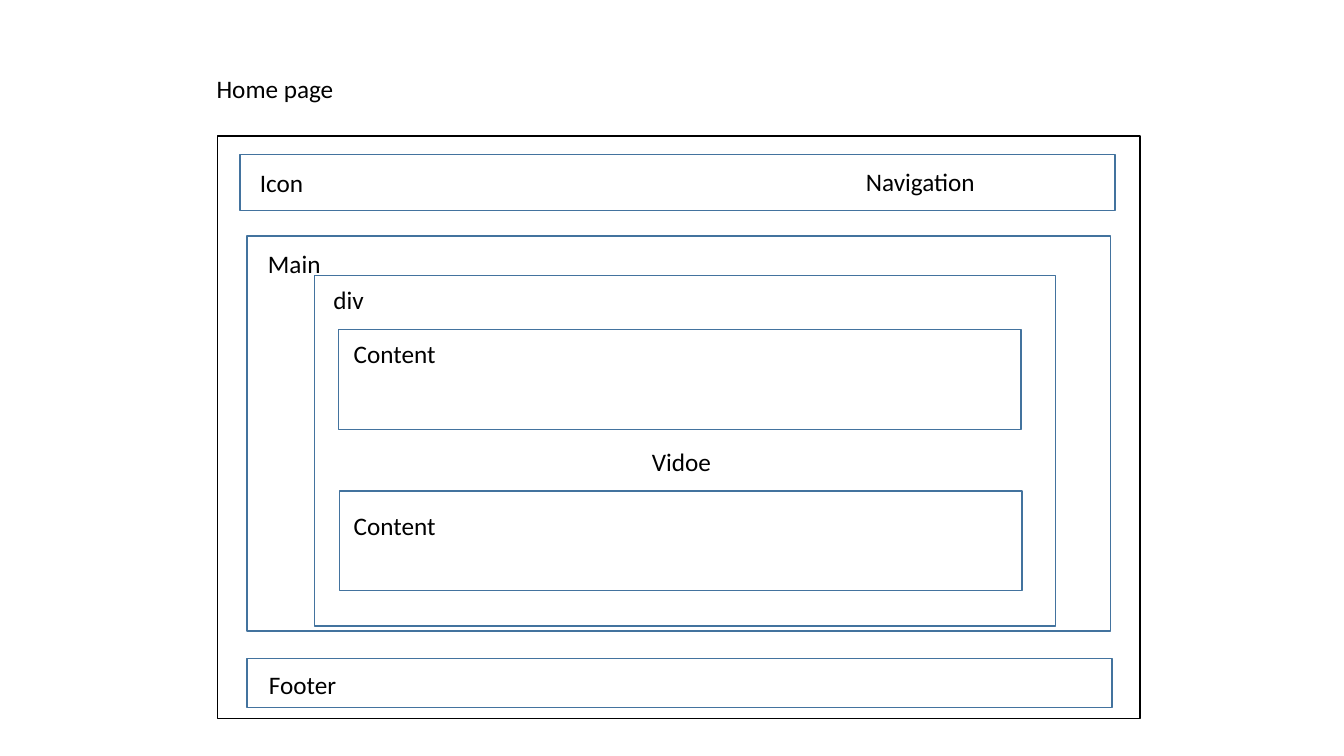
from dataclasses import dataclass

from pptx import Presentation
from pptx.dml.color import RGBColor
from pptx.enum.shapes import MSO_SHAPE
from pptx.enum.text import MSO_AUTO_SIZE, PP_ALIGN
from pptx.util import Pt


@dataclass(frozen=True)
class Theme:
    font: str = "Calibri"
    text_size: float = 18
    text_color: str = "000000"
    page_line: str = "000000"
    block_line: str = "43739E"
    line_width: float = 1
    label_height: float = 29


THEME = Theme()


def add_frame(slide, left, top, width, height, color=THEME.block_line):
    shape = slide.shapes.add_shape(
        MSO_SHAPE.RECTANGLE, Pt(left), Pt(top), Pt(width), Pt(height)
    )
    shape.shadow.inherit = False
    shape.fill.background()
    shape.line.color.rgb = RGBColor.from_string(color)
    shape.line.width = Pt(THEME.line_width)


def add_label(slide, text, *, left, top, width, align=PP_ALIGN.LEFT):
    box = slide.shapes.add_textbox(
        Pt(left), Pt(top), Pt(width), Pt(THEME.label_height)
    )
    frame = box.text_frame
    frame.word_wrap = True
    frame.auto_size = MSO_AUTO_SIZE.SHAPE_TO_FIT_TEXT
    paragraph = frame.paragraphs[0]
    paragraph.alignment = align
    run = paragraph.add_run()
    run.text = text
    run.font.name = THEME.font
    run.font.size = Pt(THEME.text_size)
    run.font.color.rgb = RGBColor.from_string(THEME.text_color)


def add_header(slide):
    add_frame(slide, 171.4, 110.2, 625, 40.3)
    add_label(slide, "Icon", left=178.6, top=115.9, width=124.6)
    add_label(slide, "Navigation", left=524.9, top=115.2, width=265,
              align=PP_ALIGN.CENTER)


def add_content(slide, left, top, label_top):
    add_frame(slide, left, top, 487.4, 71.3)
    add_label(slide, "Content", left=245.5, top=label_top, width=82.8)


def add_main_section(slide):
    add_frame(slide, 176.4, 168.5, 617, 282.2)
    add_label(slide, "Main", left=184.3, top=173.5, width=58.3)
    add_content(slide, 242, 235.4, label_top=238.3)
    add_label(slide, "Vidoe", left=268.6, top=315.4, width=436.3,
              align=PP_ALIGN.CENTER)
    add_content(slide, 242.6, 350.6, label_top=360.7)
    add_frame(slide, 224.6, 196.6, 529.2, 250.6)
    add_label(slide, "div", left=231.1, top=199.4, width=61.9)


def add_footer(slide):
    add_frame(slide, 176.4, 470.2, 617.8, 35.3)
    add_label(slide, "Footer", left=185, top=474.5, width=87.1)


def main():
    presentation = Presentation()
    presentation.slide_width = Pt(960)
    presentation.slide_height = Pt(540)
    slide = presentation.slides.add_slide(presentation.slide_layouts[6])
    add_label(slide, "Home page", left=147.6, top=49, width=224.6)
    add_frame(slide, 155.5, 97.2, 658.8, 416.2, color=THEME.page_line)
    add_header(slide)
    add_main_section(slide)
    add_footer(slide)
    presentation.save("out.pptx")


if __name__ == "__main__":
    main()
